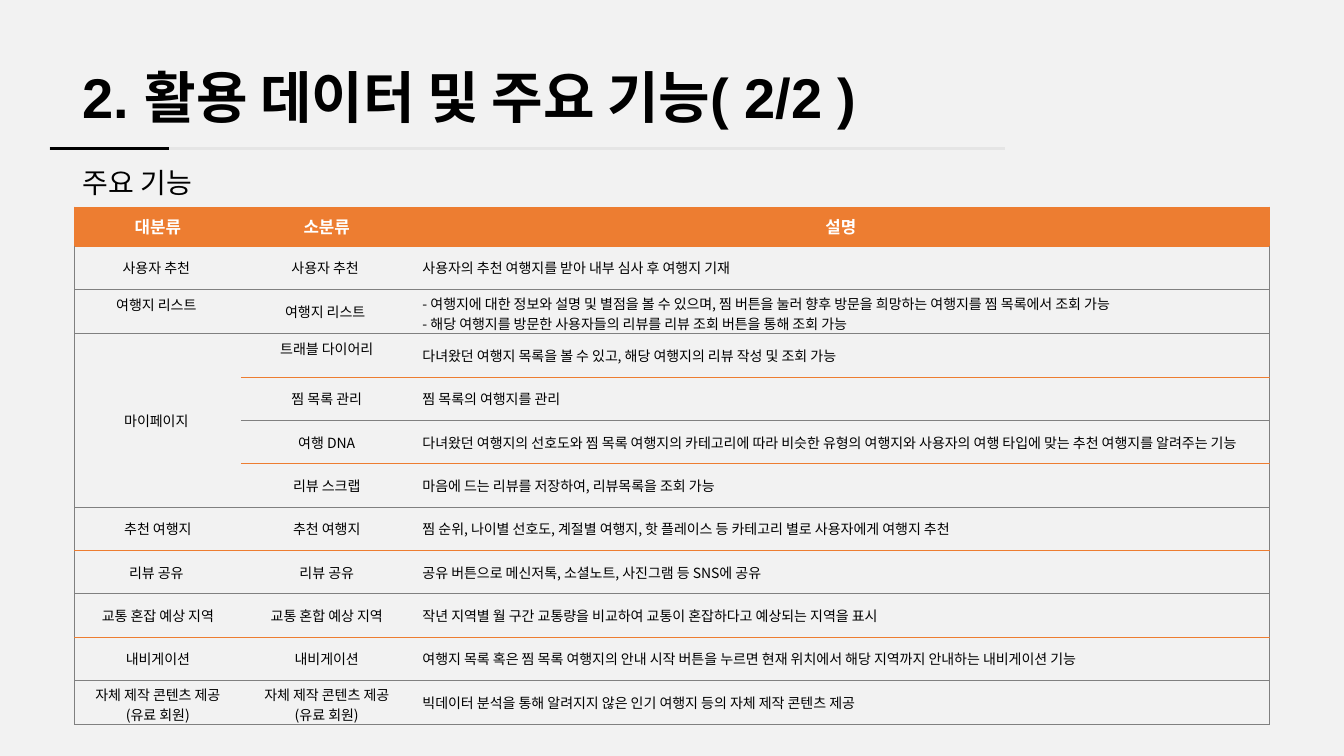
from typing import NamedTuple

from pptx import Presentation
from pptx.dml.color import RGBColor
from pptx.enum.shapes import MSO_CONNECTOR
from pptx.enum.text import MSO_ANCHOR, MSO_AUTO_SIZE, PP_ALIGN
from pptx.oxml.ns import qn
from pptx.oxml.xmlchemy import OxmlElement
from pptx.util import Inches, Pt

BACKGROUND = RGBColor(0xF2, 0xF2, 0xF2)
BLACK = RGBColor(0, 0, 0)
WHITE = RGBColor(0xFF, 0xFF, 0xFF)
ORANGE = RGBColor(0xED, 0x7D, 0x31)
GREY = RGBColor(0x80, 0x80, 0x80)
PALE = RGBColor(0xE5, 0xE5, 0xE5)
HEAD_FONT = "Arial"
TABLE_FONT = "Noto Sans CJK KR"
NO_STYLE = "{2D5ABB26-0587-4C30-8999-92F81FD0307C}"


class Feature(NamedTuple):
    """One row of the feature table; the group is empty inside a merged cell."""
    group: str
    name: str
    description: str
    line: RGBColor = GREY


class Rule(NamedTuple):
    """One horizontal rule under the title."""
    left: float
    right: float
    color: RGBColor


RULES = [Rule(0.49, 9.97, PALE), Rule(0.5, 1.68, BLACK)]
HEADER = Feature("대분류", "소분류", "설명", ORANGE)
FEATURES = [
    Feature("사용자 추천 ", "사용자 추천 ", "사용자의 추천 여행지를 받아 내부 심사 후 여행지 기재"),
    Feature("여행지 리스트 ", "여행지 리스트 ",
            "- 여행지에 대한 정보와 설명 및 별점을 볼 수 있으며, 찜 버튼을 눌러 향후 방문을 희망하는 여행지를 찜 목록에서 조회 가능\n"
            "- 해당 여행지를 방문한 사용자들의 리뷰를 리뷰 조회 버튼을 통해 조회 가능"),
    Feature("마이페이지 ", "트래블 다이어리",
            "다녀왔던 여행지 목록을 볼 수 있고, 해당 여행지의 리뷰 작성 및 조회 가능", ORANGE),
    Feature("", "찜 목록 관리", "찜 목록의 여행지를 관리"),
    Feature("", "여행 DNA",
            "다녀왔던 여행지의 선호도와 찜 목록 여행지의 카테고리에 따라 비슷한 유형의 여행지와 "
            "사용자의 여행 타입에 맞는 추천 여행지를 알려주는 기능", ORANGE),
    Feature("", "리뷰 스크랩", "마음에 드는 리뷰를 저장하여, 리뷰목록을 조회 가능"),
    Feature("추천 여행지", "추천 여행지",
            "찜 순위, 나이별 선호도, 계절별 여행지, 핫 플레이스 등 카테고리 별로 사용자에게 여행지 추천", ORANGE),
    Feature("리뷰 공유 ", "리뷰 공유", "공유 버튼으로 메신저톡, 소셜노트, 사진그램 등 SNS에 공유"),
    Feature("교통 혼잡 예상 지역", "교통 혼합 예상 지역",
            "작년 지역별 월 구간 교통량을 비교하여 교통이 혼잡하다고 예상되는 지역을 표시", ORANGE),
    Feature("내비게이션", "내비게이션",
            "여행지 목록 혹은 찜 목록 여행지의 안내 시작 버튼을 누르면 현재 위치에서 해당 지역까지 안내하는 내비게이션 기능"),
    Feature("자체 제작 콘텐츠 제공(유료 회원)", "자체 제작 콘텐츠 제공(유료 회원)",
            "빅데이터 분석을 통해 알려지지 않은 인기 여행지 등의 자체 제작 콘텐츠 제공"),
]
MERGED_ROWS = (3, 6)
COLUMN_WIDTHS = [1.65, 1.7, 8.5]
HEADER_HEIGHT, ROW_HEIGHT = 0.39, 0.43
TOP_CELLS = {(2, 0), (3, 1)}
TWO_LINE_CELLS = {(2, 2), (11, 0), (11, 1)}


def write_text(tf, text: str, *, size: float, font: str = HEAD_FONT,
               color: RGBColor = BLACK, bold: bool = False,
               align: PP_ALIGN = PP_ALIGN.LEFT) -> None:
    """Fill a text frame with one formatted paragraph per line."""
    tf.word_wrap = True
    for i, line in enumerate(text.split("\n")):
        p = tf.paragraphs[0] if i == 0 else tf.add_paragraph()
        p.alignment = align
        r = p.add_run()
        r.text = line
        r.font.size, r.font.name, r.font.bold = Pt(size), font, bold
        r.font.color.rgb = color
        ea = OxmlElement("a:ea")
        ea.set("typeface", TABLE_FONT)
        r.font._element.find(qn("a:latin")).addnext(ea)


def place_heading(sp, left: float, top: float, width: float, height: float,
                  text: str, size: float, bold: bool = False) -> None:
    """Position a heading shape and write its vertically centred text."""
    sp.left, sp.top = Inches(left), Inches(top)
    sp.width, sp.height = Inches(width), Inches(height)
    tf = sp.text_frame
    tf.auto_size = MSO_AUTO_SIZE.NONE
    tf.vertical_anchor = MSO_ANCHOR.MIDDLE
    write_text(tf, text, size=size, bold=bold)


def add_rule(slide, rule: Rule) -> None:
    """Draw one rule under the title."""
    line = slide.shapes.add_connector(
        MSO_CONNECTOR.STRAIGHT, Inches(rule.left), Inches(1.47),
        Inches(rule.right), Inches(1.47))
    line.line.color.rgb = rule.color
    line.line.width = Pt(2)
    line._element.spPr.append(OxmlElement("a:effectLst"))


def set_borders(cell, **edges: RGBColor) -> None:
    """Add half-point borders to a cell, keyed by edge letter L, R, T or B."""
    tc_pr = cell._tc.get_or_add_tcPr()
    names = [edge for edge in "LRTB" if edge in edges]
    for i, edge in enumerate(names):
        ln = OxmlElement(f"a:ln{edge}")
        ln.set("w", str(Pt(0.5)))
        fill, clr = OxmlElement("a:solidFill"), OxmlElement("a:srgbClr")
        clr.set("val", str(edges[edge]))
        fill.append(clr)
        ln.append(fill)
        tc_pr.insert(i, ln)


def fill_cell(cell, row: int, col: int, feature: Feature) -> None:
    """Write, fill and border one table cell."""
    header = row == 0
    text = feature[col]
    at = (row, col)
    cell.vertical_anchor = (MSO_ANCHOR.TOP if at in TOP_CELLS | TWO_LINE_CELLS
                            else MSO_ANCHOR.MIDDLE)
    if at in TWO_LINE_CELLS:
        cell.margin_top, cell.margin_bottom = Inches(0.04), Inches(0)
    if text:
        write_text(cell.text_frame, text, size=12 if header else 10,
                   font=TABLE_FONT, color=WHITE if header else BLACK, bold=header,
                   align=PP_ALIGN.CENTER if header or col < 2 else PP_ALIGN.LEFT)
    if header:
        cell.fill.solid()
        cell.fill.fore_color.rgb = ORANGE
    else:
        cell.fill.background()
    side = ORANGE if header else GREY
    edges = {}
    if col == 0:
        edges["L"] = side
    if col == 2:
        edges["R"] = side
    first, last = MERGED_ROWS
    if col == 0 and first <= row <= last:
        if row in MERGED_ROWS:
            edges["B"] = GREY
    else:
        edges["B"] = feature.line
    set_borders(cell, **edges)


def add_feature_table(slide) -> None:
    """Build the table of main features."""
    rows = [HEADER, *FEATURES]
    height = HEADER_HEIGHT + ROW_HEIGHT * len(FEATURES)
    table = slide.shapes.add_table(
        len(rows), len(COLUMN_WIDTHS), Inches(0.74), Inches(2.05),
        Inches(sum(COLUMN_WIDTHS)), Inches(height)).table
    table._tbl.tblPr.find(qn("a:tableStyleId")).text = NO_STYLE
    table.horz_banding = False
    for column, width in zip(table.columns, COLUMN_WIDTHS):
        column.width = Inches(width)
    for i, feature in enumerate(rows):
        table.rows[i].height = Inches(ROW_HEIGHT if i else HEADER_HEIGHT)
        for col in range(len(COLUMN_WIDTHS)):
            fill_cell(table.cell(i, col), i, col, feature)
    first, last = MERGED_ROWS
    table.cell(first, 0).merge(table.cell(last, 0))


prs = Presentation()
prs.slide_width, prs.slide_height = Inches(13.33), Inches(7.5)
slide = prs.slides.add_slide(prs.slide_layouts[5])
slide.background.fill.solid()
slide.background.fill.fore_color.rgb = BACKGROUND

place_heading(slide.shapes.title, 0.72, 0.57, 11.87, 0.77,
              "2. 활용 데이터 및 주요 기능( 2/2 )", 40, bold=True)
for rule in RULES:
    add_rule(slide, rule)
subtitle = slide.shapes.add_textbox(0, 0, 0, 0)
place_heading(subtitle, 0.72, 1.59, 9.34, 0.44, "주요 기능", 20)
add_feature_table(slide)
prs.save("out.pptx")
